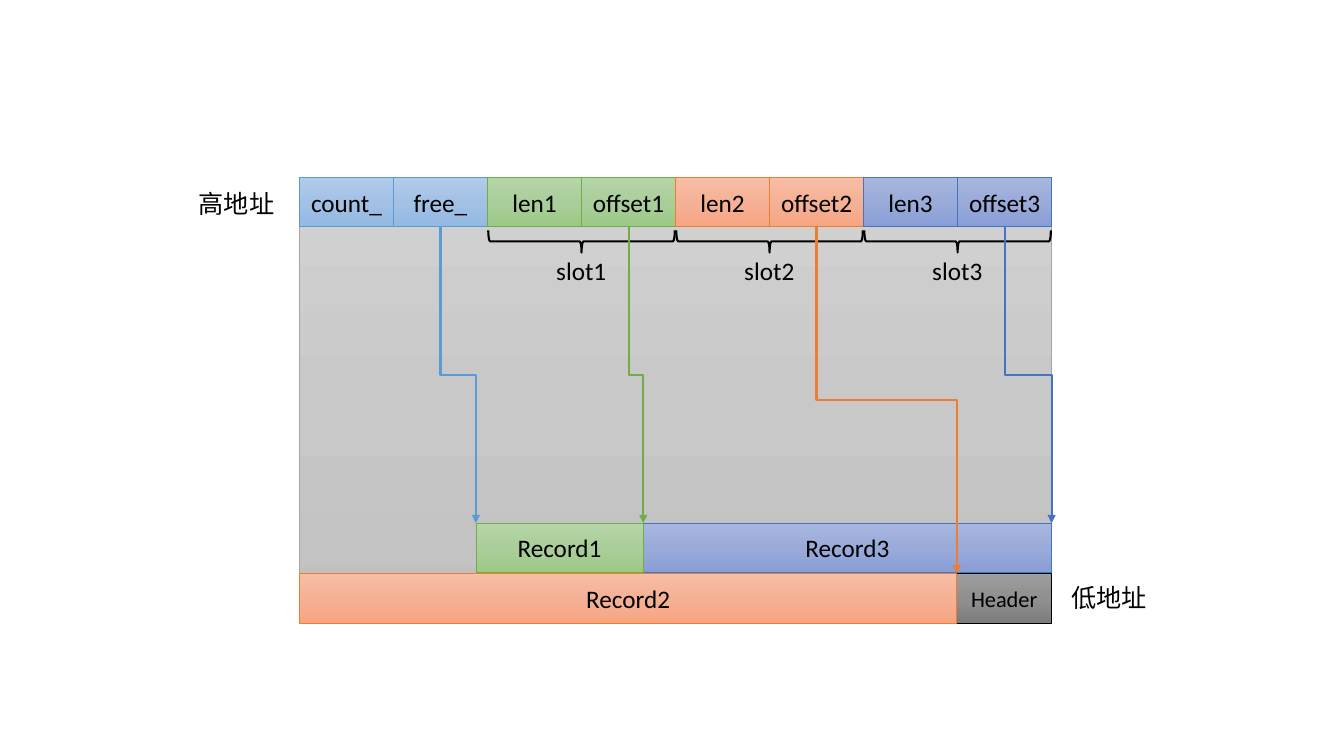
from copy import deepcopy

from lxml.etree import SubElement
from pptx import Presentation
from pptx.dml.color import RGBColor
from pptx.enum.shapes import MSO_CONNECTOR, MSO_SHAPE
from pptx.enum.text import MSO_ANCHOR, MSO_AUTO_SIZE, PP_ALIGN
from pptx.oxml.ns import qn
from pptx.util import Inches, Pt

LINE = {"blue": "5B9BD5", "green": "70AD47", "orange": "ED7D31",
        "indigo": "4472C4", "header": "000000", "page": "A5A5A5", "text": "000000"}
GRADIENT = {
    "blue": ("B1CBE9", "A3C1E5", "93B9E4"),
    "green": ("B5D5A7", "AACE9A", "9CC987"),
    "orange": ("F7BDA5", "F5B196", "F8A582"),
    "indigo": ("A8B7DF", "9AABD9", "889ED7"),
    "header": ("9D9D9D", "909090", "7C7C7C"),
    "page": ("D2D2D2", "C8C8C8", "C0C0C0"),
}

PAGE_LEFT, PAGE_TOP, PAGE_WIDTH, PAGE_HEIGHT = 2.97, 1.76, 7.46, 4.42
PAGE_RIGHT = PAGE_LEFT + PAGE_WIDTH
CELL_WIDTH = PAGE_WIDTH / 8
ROW_HEIGHT = 0.49
HEADER_TOP = PAGE_TOP + PAGE_HEIGHT - ROW_HEIGHT
RECORD_TOP = HEADER_TOP - ROW_HEIGHT - 0.01
HEADER_LEFT = 9.49


def write(shape, text, alignment=PP_ALIGN.CENTER, size=18, font="Calibri"):
    paragraph = shape.text_frame.paragraphs[0]
    paragraph.alignment = alignment
    run = paragraph.add_run()
    run.text = text
    for name, value in {"size": Pt(size), "name": font}.items():
        setattr(run.font, name, value)
    run.font.color.rgb = RGBColor.from_string(LINE["text"])
    SubElement(run.font._element, qn("a:ea"), typeface=font)


def add_block(left, top, width, height, color, text="", size=18):
    """Add a rectangle with a vertical three-stop gradient and centred text."""
    block = slide.shapes.add_shape(MSO_SHAPE.RECTANGLE, Inches(left), Inches(top),
                                   Inches(width), Inches(height))
    block.shadow.inherit = False
    block.fill.gradient()
    block.fill.gradient_angle = 270
    stop_list = block._element.spPr.find(".//" + qn("a:gsLst"))
    stop_list.append(deepcopy(stop_list[0]))
    for index, stop in enumerate(block.fill.gradient_stops):
        stop.position = index / 2
        stop.color.rgb = RGBColor.from_string(GRADIENT[color][index])
    block.line.color.rgb = RGBColor.from_string(LINE[color])
    block.line.width = Pt(0.5)
    block.text_frame.vertical_anchor = MSO_ANCHOR.MIDDLE
    if text:
        write(block, text, size=size)


presentation = Presentation()
presentation.slide_width = Inches(13.33)
presentation.slide_height = Inches(7.5)
slide = presentation.slides.add_slide(presentation.slide_layouts[6])

# Page body, header and records
add_block(PAGE_LEFT, PAGE_TOP, PAGE_WIDTH, PAGE_HEIGHT, "page")
add_block(HEADER_LEFT, HEADER_TOP, PAGE_RIGHT - HEADER_LEFT, ROW_HEIGHT,
          "header", "Header", 16)
for text, color, left, right, top in [
    ("Record2", "orange", PAGE_LEFT, HEADER_LEFT, HEADER_TOP),
    ("Record3", "indigo", 6.38, PAGE_RIGHT, RECORD_TOP),
    ("Record1", "green", 4.72, 6.38, RECORD_TOP),
]:
    add_block(left, top, right - left, ROW_HEIGHT, color, text)

# Directory cells, two of each colour
fields = [("count_", "free_"), ("len1", "offset1"), ("len2", "offset2"), ("len3", "offset3")]
for pair, (color, names) in enumerate(zip(("blue", "green", "orange", "indigo"), fields)):
    for side, name in enumerate(names):
        add_block(PAGE_LEFT + (2 * pair + side) * CELL_WIDTH, PAGE_TOP,
                  CELL_WIDTH, ROW_HEIGHT, color, name)

# Slot braces
for slot in (1, 2, 3):
    center = PAGE_LEFT + (2 * slot + 1) * CELL_WIDTH
    brace = slide.shapes.add_shape(MSO_SHAPE.RIGHT_BRACE, Inches(center - 0.11),
                                   Inches(1.47), Inches(0.22), Inches(1.85))
    brace.rotation = 90
    brace.shadow.inherit = False
    brace.fill.background()
    brace.line.color.rgb = RGBColor.from_string(LINE["text"])
    brace.line.width = Pt(1.5)

# Labels
labels = [(f"slot{slot}", PAGE_LEFT + 2 * slot * CELL_WIDTH, 2.48, PP_ALIGN.CENTER, "Calibri")
          for slot in (1, 2, 3)]
labels += [("高地址", 0.96, 1.82, PP_ALIGN.RIGHT, "Noto Sans CJK SC"),
           ("低地址", 10.53, 5.73, PP_ALIGN.LEFT, "Noto Sans CJK SC")]
for text, left, top, alignment, font in labels:
    label = slide.shapes.add_textbox(Inches(left), Inches(top), Inches(1.86), Inches(0.4))
    label.text_frame.word_wrap = True
    label.text_frame.auto_size = MSO_AUTO_SIZE.SHAPE_TO_FIT_TEXT
    write(label, text, alignment, font=font)

# Pointers from the offset cells down to the records
pointer_top = PAGE_TOP + ROW_HEIGHT
for cell, color, end_x, end_y in [
    (3, "green", 6.38, RECORD_TOP),
    (5, "orange", HEADER_LEFT, HEADER_TOP),
    (7, "indigo", PAGE_RIGHT, RECORD_TOP),
    (1, "blue", 4.72, RECORD_TOP),
]:
    start_x = PAGE_LEFT + (cell + 0.5) * CELL_WIDTH
    center_x, center_y = (start_x + end_x) / 2, (pointer_top + end_y) / 2
    half_drop, half_shift = (end_y - pointer_top) / 2, (end_x - start_x) / 2
    # The elbow is laid out sideways, then turned to leave its cell downwards
    pointer = slide.shapes.add_connector(
        MSO_CONNECTOR.ELBOW,
        Inches(center_x - half_drop), Inches(center_y - half_shift),
        Inches(center_x + half_drop), Inches(center_y + half_shift))
    properties = pointer._element.spPr
    properties.xfrm.set("rot", "16200000")
    properties.xfrm.set("flipH", "1")
    pointer.line.color.rgb = RGBColor.from_string(LINE[color])
    pointer.line.width = Pt(1.5)
    SubElement(properties.find(qn("a:ln")), qn("a:tailEnd"), type="triangle")
    SubElement(properties, qn("a:effectLst"))

presentation.save("out.pptx")
